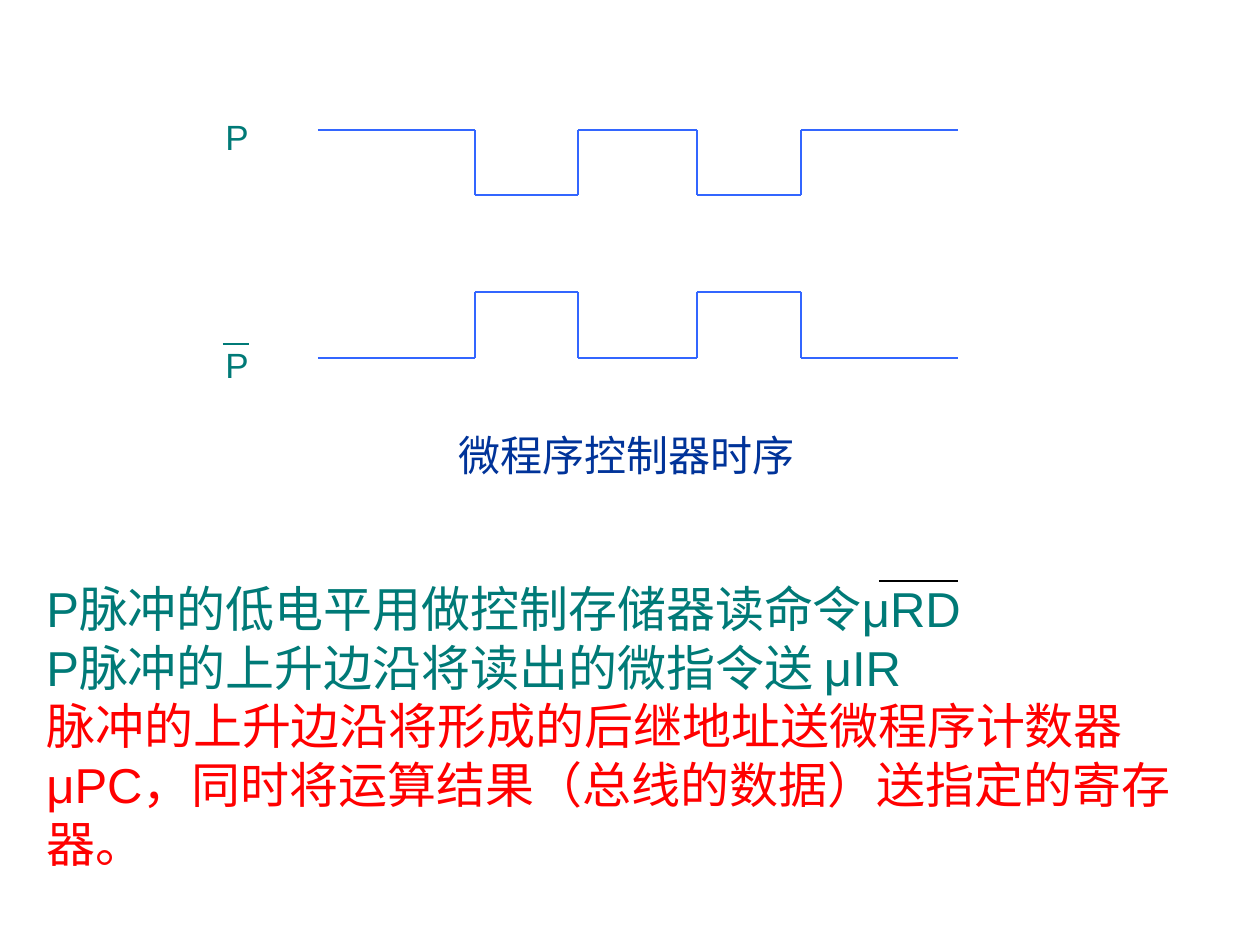
"""Build the slide on the timing of a microprogrammed controller."""
from itertools import pairwise

from lxml import etree
from pptx import Presentation
from pptx import util as u
from pptx.dml.color import RGBColor
from pptx.enum import shapes, text
from pptx.oxml.ns import qn

THEME = {
    "teal": "007A77", "blue": "3366FF", "navy": "003399",
    "red": "FF0000", "black": "000000",
    "label": 20, "caption": 24, "body": 28, "thin": 0.75, "thick": 1.5,
}
SCALE = 914400 / 126
MID, TOP = text.MSO_ANCHOR.MIDDLE, text.MSO_ANCHOR.TOP
LEFT, CENTER = text.PP_ALIGN.LEFT, text.PP_ALIGN.CENTER

EDGES = [318, 475, 578, 697, 801, 958]
WAVES = [
    {"high": 130, "low": 195, "levels": ["high", "low", "high", "low", "high"]},
    {"high": 292, "low": 358, "levels": ["low", "high", "low", "high", "low"]},
]
BARS = [
    ((282, 285), (282, 285), "teal", "thin"),
    ((223, 344), (249, 344), "teal", "thick"),
    ((879, 581), (958, 581), "black", "thin"),
]
TEXTS = [
    ((164, 423, 925, 63), [("微程序控制器时序", "navy")],
     "caption", "Times New Roman", CENTER, MID),
    ((213, 76, 120, 120), [("P", "teal")], "label", "Arial", LEFT, MID),
    ((213, 304, 120, 120), [("P", "teal")], "label", "Arial", LEFT, MID),
    ((34, 572, 1191, 307), [
        ("P脉冲的低电平用做控制存储器读命令μRD", "teal"),
        ("P脉冲的上升边沿将读出的微指令送 μIR", "teal"),
        ("脉冲的上升边沿将形成的后继地址送微程序计数器 μPC，"
         "同时将运算结果（总线的数据）送指定的寄存器。", "red"),
    ], "body", "Arial", LEFT, TOP),
]


def px(n):
    return u.Emu(round(n * SCALE))


def color(name):
    return RGBColor.from_string(THEME[name])


def draw_line(slide, start, end, hue, width):
    line = slide.shapes.add_connector(
        shapes.MSO_CONNECTOR.STRAIGHT, *map(px, (*start, *end)))
    line.line.color.rgb = color(hue)
    line.line.width = u.Pt(THEME[width])
    etree.SubElement(line._element.spPr, qn("a:effectLst"))


def draw_wave(slide, wave):
    points = []
    for (left, right), level in zip(pairwise(EDGES), wave["levels"]):
        points += [(left, wave[level]), (right, wave[level])]
    for start, end in pairwise(points):
        draw_line(slide, start, end, "blue", "thick")


def add_text(slide, place, lines, size, font, align, anchor):
    frame = slide.shapes.add_textbox(*map(px, place)).text_frame
    frame.word_wrap = True
    frame.vertical_anchor = anchor
    frame.text = "\n".join(line for line, _ in lines)
    for para, (_, hue) in zip(frame.paragraphs, lines):
        para.alignment = align
        for run in para.runs:
            run.font.name = font
            run.font.size = u.Pt(THEME[size])
            run.font.color.rgb = color(hue)


def main():
    deck = Presentation()
    deck.slide_width, deck.slide_height = px(1260), px(945)
    slide = deck.slides.add_slide(deck.slide_layouts[6])
    for wave in WAVES:
        draw_wave(slide, wave)
    for item in TEXTS:
        add_text(slide, *item)
    for bar in BARS:
        draw_line(slide, *bar)
    deck.save("out.pptx")


if __name__ == "__main__":
    main()
